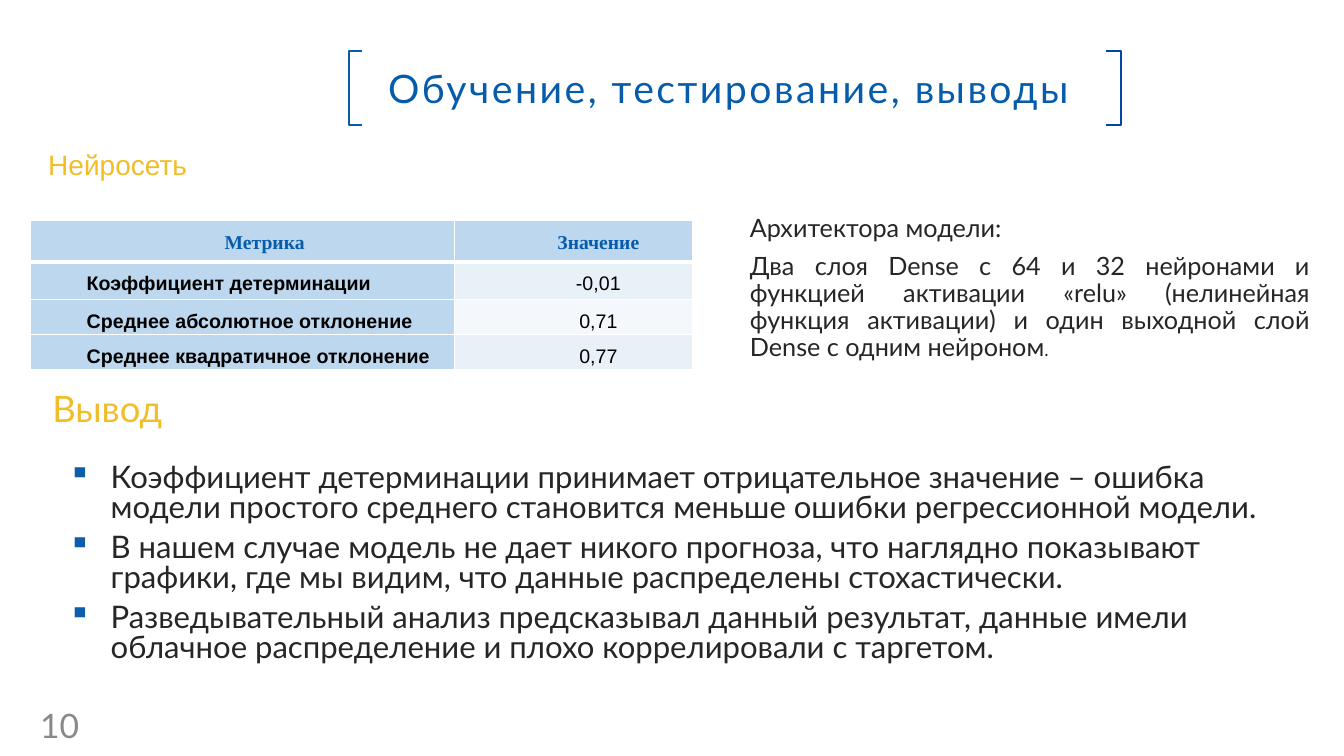
from lxml import etree
from pptx import Presentation, util as u
from pptx.dml.color import RGBColor
from pptx.enum import shapes, text
from pptx.oxml import ns

BLUE, NAVY, GOLD, INK, GRAY = "065CAB", "0046A2", "F1BE29", "262626", "898989"
WHITE, BLACK, HEAD = "FFFFFF", "000000", "BDD7EE"
BANDS = ("E8F0F8", "F4F8FC")
LEFT, CENTER = text.PP_ALIGN.LEFT, text.PP_ALIGN.CENTER
MIDDLE = text.MSO_ANCHOR.MIDDLE
inch = u.Inches


def color(code):
    return RGBColor.from_string(code)


def sub(node, tag, **attrs):
    return etree.SubElement(node, ns.qn(tag), attrs)


def style(para, size, code, face="Lato", bold=False):
    for run in para.runs:
        font = run.font
        font.size, font.name, font.bold = u.Pt(size), face, bold
        font.color.rgb = color(code)


def indent(para, left, first):
    props = para._p.get_or_add_pPr()
    props.set("marL", str(inch(left)))
    props.set("indent", str(inch(first)))
    return props


def write(slide, box, lines, size, code, face="Lato", left=0.08, first=0,
          space=0.9, bullet=None):
    frame = slide.shapes.add_textbox(*map(inch, box)).text_frame
    frame.word_wrap = True
    frame.text = "\n".join(lines)
    for i, para in enumerate(frame.paragraphs):
        props = indent(para, left, first)
        para.line_spacing = space
        if i:
            para.space_before = u.Pt(7.5)
        if bullet:
            sub(sub(props, "a:buClr"), "a:srgbClr", val="0E5DAB")
            sub(props, "a:buChar", char=bullet)
        style(para, size, code, face)
    return frame


def bracket(slide, outer, inner, top, tall, code):
    points = [(inner, top), (outer, top), (outer, top + tall), (inner, top + tall)]
    points = [(inch(x), inch(y)) for x, y in points]
    path = slide.shapes.build_freeform(*points[0])
    path.add_line_segments(points[1:], close=False)
    shape = path.convert_to_shape()
    shape.shadow.inherit = False
    shape.fill.background()
    shape.line.color.rgb = color(code)
    shape.line.width = u.Pt(1.3)


def title(slide, box, words):
    x, y, wide, tall = box
    rect = slide.shapes.add_shape(shapes.MSO_SHAPE.RECTANGLE, *map(inch, box))
    rect.shadow.inherit = False
    rect.fill.solid()
    rect.fill.fore_color.rgb = color(WHITE)
    rect.line.color.rgb = color(WHITE)
    rect.line.width = u.Pt(2)
    frame = rect.text_frame
    frame.vertical_anchor = MIDDLE
    frame.text = words
    para = frame.paragraphs[0]
    para.alignment = CENTER
    style(para, 28, BLUE)
    para.runs[0]._r.get_or_add_rPr().set("spc", "180")
    bracket(slide, x, x + 0.13, y, tall, BLUE)
    bracket(slide, x + wide, x + wide - 0.15, y, tall, NAVY)


def edges(cell, head):
    props = cell._tc.get_or_add_tcPr()
    for side in "LRTB":
        width = 3 if head and side == "B" else 1
        line = sub(props, "a:ln" + side, w=str(u.Pt(width)))
        sub(sub(line, "a:solidFill"), "a:srgbClr", val=WHITE)


def metrics(slide, box, rows, cols, heights):
    grid = slide.shapes.add_table(len(rows), len(cols), *map(inch, box)).table
    for col, wide in zip(grid.columns, cols):
        col.width = inch(wide)
    for r, (row, tall) in enumerate(zip(rows, heights)):
        grid.rows[r].height = inch(tall)
        for c, words in enumerate(row):
            cell, head = grid.cell(r, c), r == 0
            cell.margin_left = cell.margin_right = inch(0.07)
            cell.margin_top = cell.margin_bottom = 0
            edges(cell, head)
            cell.fill.solid()
            cell.fill.fore_color.rgb = color(HEAD if head or c == 0 else BANDS[(r - 1) % 2])
            cell.text = words
            para = cell.text_frame.paragraphs[0]
            indent(para, 0, 0.49)
            para.line_spacing = 1.5
            para.alignment = CENTER if head or c else LEFT
            style(para, 14, BLUE if head else BLACK,
                  "Times New Roman" if head else "Arial", head or c == 0)


def model(slide, box):
    frame = write(slide, box, [
        "Архитектора модели:",
        "Два слоя Dense с 64 и 32 нейронами и функцией активации «relu» "
        "(нелинейная функция активации) и один выходной слой Dense с одним нейроном",
    ], 18, INK)
    para = frame.paragraphs[1]
    para.alignment = text.PP_ALIGN.JUSTIFY
    dot = para.add_run()
    dot.text = "."
    style(para, 18, INK)
    dot.font.size = u.Pt(13)


def main():
    deck = Presentation()
    deck.slide_width, deck.slide_height = inch(13.33), inch(7.5)
    slide = deck.slides.add_slide(deck.slide_layouts[6])
    write(slide, (0.5, 4.56, 12.1, 2.26), [
        "Коэффициент детерминации принимает отрицательное значение – ошибка "
        "модели простого среднего становится меньше ошибки регрессионной модели.",
        "В нашем случае модель не дает никого прогноза, что наглядно показывают "
        "графики, где мы видим, что данные распределены стохастически.",
        "Разведывательный анализ предсказывал данный результат, данные имели "
        "облачное распределение и плохо коррелировали с таргетом.",
    ], 22.2, INK, left=0.5, first=-0.42, space=0.8, bullet="▪")
    model(slide, (7.26, 2.09, 5.83, 1.93))
    page = write(slide, (0.3, 7.04, 0.62, 0.3), ["10"], 24, GRAY, left=0, space=1)
    page.vertical_anchor = MIDDLE
    title(slide, (3.46, 0.51, 7.66, 0.73), "Обучение, тестирование, выводы ")
    metrics(slide, (0.3, 2.19, 6.57, 1.46), [
        ("Метрика ", "Значение"),
        ("Коэффициент детерминации", "-0,01"),
        ("Среднее абсолютное отклонение", "0,71"),
        ("Среднее квадратичное отклонение", "0,77"),
    ], (4.21, 2.36), (0.41, 0.37, 0.34, 0.34))
    write(slide, (0.3, 1.45, 2.23, 0.58), ["Нейросеть"], 20, GOLD, "Arial")
    write(slide, (0.34, 3.83, 6.59, 0.64), ["Вывод"], 26, GOLD)
    deck.save("out.pptx")


if __name__ == "__main__":
    main()
